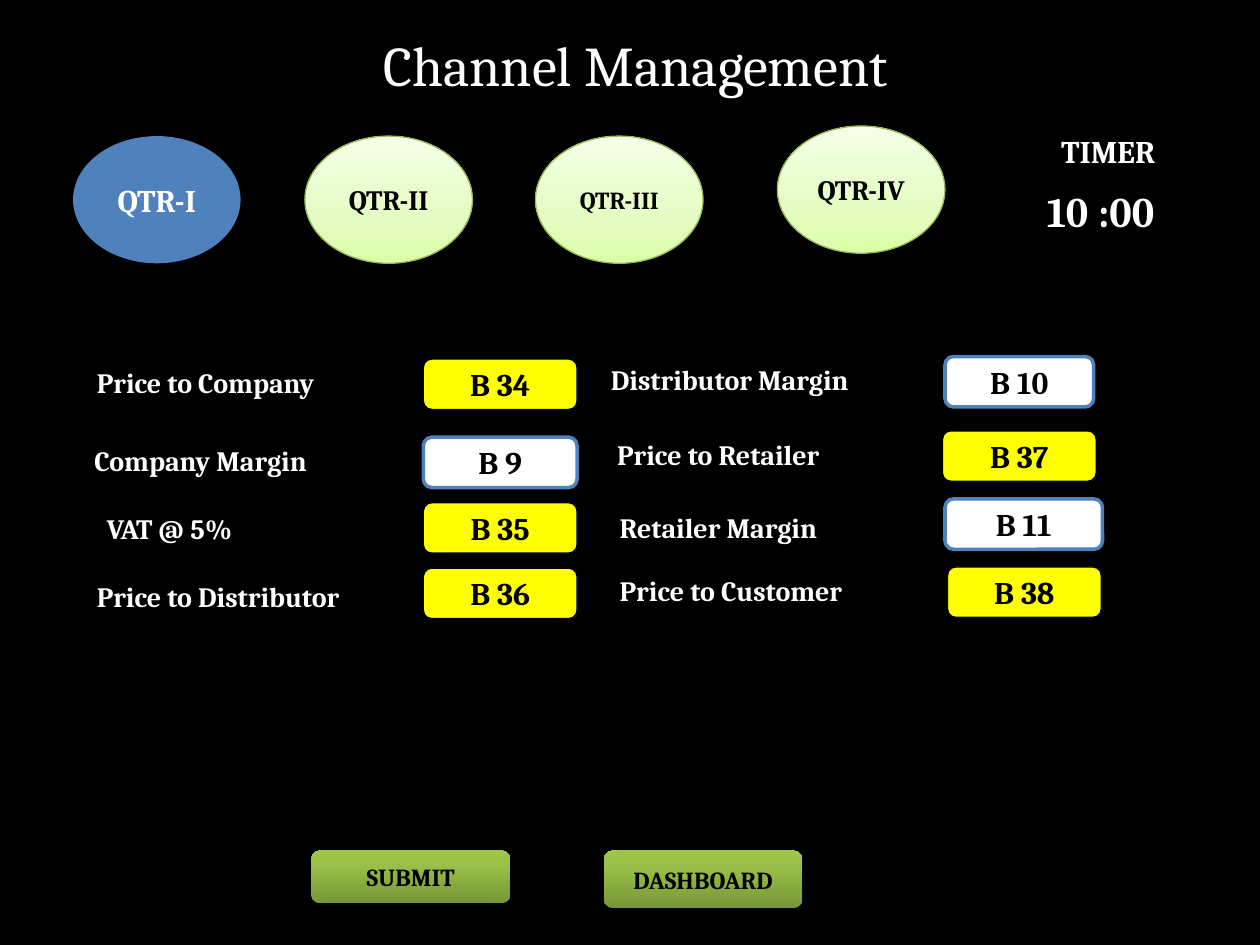
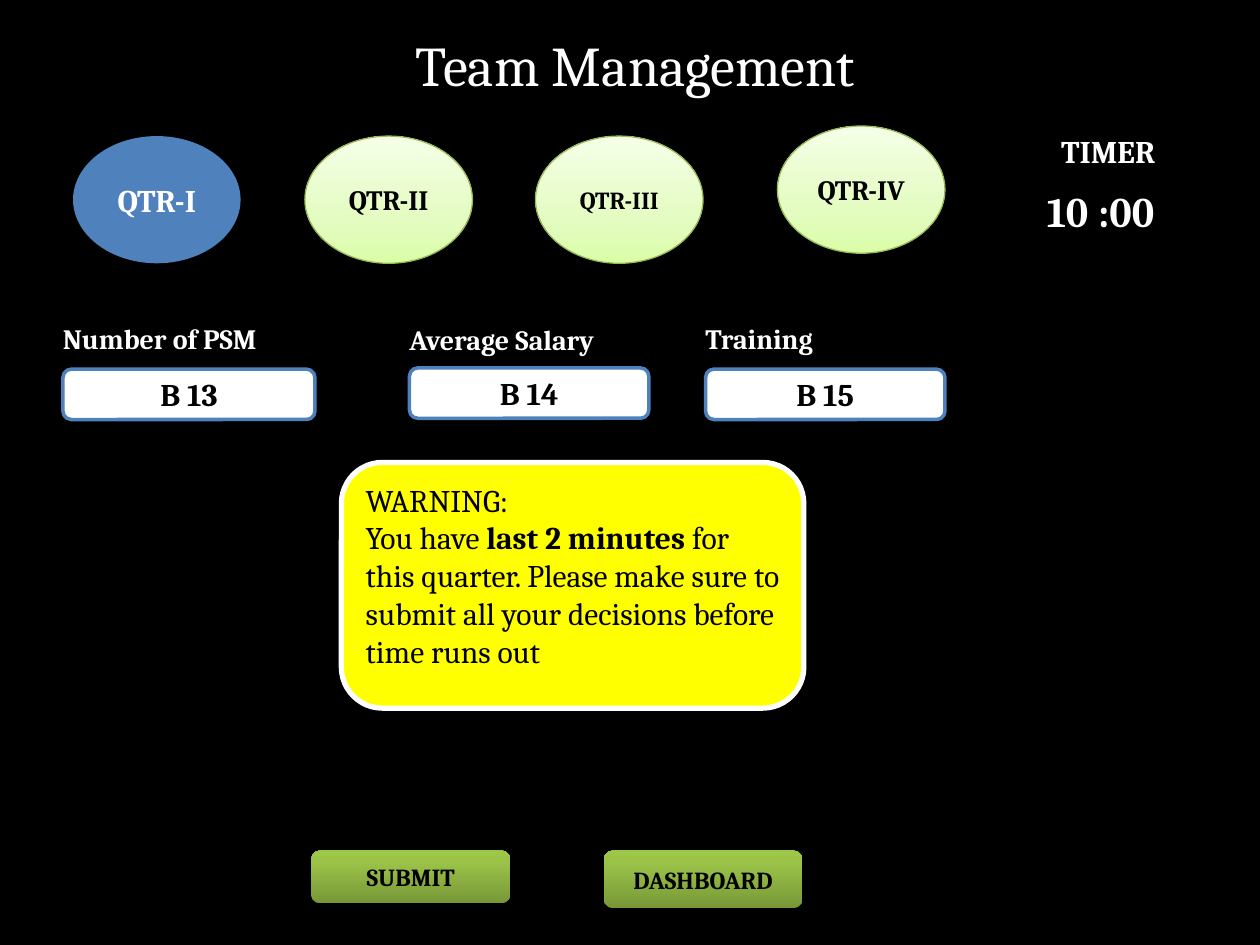
"""Build the channel and team decision screens of a quarterly business game."""
from lxml.etree import SubElement
from pptx import Presentation
from pptx.dml.color import RGBColor as Rgb
from pptx.enum.shapes import MSO_SHAPE as Shape
from pptx.enum.text import MSO_ANCHOR as Anchor, PP_ALIGN as Align
from pptx.oxml.ns import qn
from pptx.util import Inches, Pt

FONT = "Cambria"
COLORS = {
    "black": "000000",
    "white": "FFFFFF",
    "blue": "4F81BD",
    "yellow": "FFFF00",
    "leaf": "98B955",
}
GRADIENTS = {
    "pale": ((0, "DAFDA7"), (35, "E4FCC2"), (100, "F5FFE7")),
    "green": ((0, "779737"), (80, "9BC348"), (100, "9DC746")),
}
FIELD_STYLES = {
    "input": ("white", "blue", 2),
    "result": ("yellow", "black", 0.75),
}
LABEL_WIDTH = 2.68
FIELD_HEIGHT = 0.4


def color(name):
    """Return the named colour."""
    return Rgb.from_string(COLORS[name])


def place(part, left, top, width, height):
    """Move and size a part in inches."""
    part.left, part.top = Inches(left), Inches(top)
    part.width, part.height = Inches(width), Inches(height)


def add_run(paragraph, text, size, ink, bold=True):
    """Append one formatted run."""
    run = paragraph.add_run()
    run.text = text
    run.font.name = FONT
    run.font.size = Pt(size)
    run.font.bold = bold
    run.font.color.rgb = color(ink)


def fill_gradient(panel, stops):
    """Fill a panel with a gradient that rises from bottom to top."""
    panel.fill.gradient()
    panel.fill.gradient_angle = 90
    stop_list = panel.fill._fill._gradFill.find(qn("a:gsLst"))
    for old_stop in list(stop_list):
        stop_list.remove(old_stop)
    for percent, value in stops:
        stop = SubElement(stop_list, qn("a:gs"), pos=str(percent * 1000))
        SubElement(stop, qn("a:srgbClr"), val=value)


def add_panel(slide, kind, at, fill, line=None, weight=0.75):
    """Add a flat shape with a plain or gradient fill."""
    panel = slide.shapes.add_shape(kind, *map(Inches, at))
    panel.shadow.inherit = False
    if fill in GRADIENTS:
        fill_gradient(panel, GRADIENTS[fill])
    else:
        panel.fill.solid()
        panel.fill.fore_color.rgb = color(fill)
    if line:
        panel.line.color.rgb = color(line)
        panel.line.width = Pt(weight)
    else:
        panel.line.fill.background()
    return panel


def write(panel, text, size, ink="black", align=Align.CENTER, anchor=Anchor.MIDDLE):
    """Write one bold line in a panel."""
    panel.text_frame.vertical_anchor = anchor
    paragraph = panel.text_frame.paragraphs[0]
    paragraph.alignment = align
    add_run(paragraph, text, size, ink)


def add_label(slide, text, left, top, width=LABEL_WIDTH):
    """Add the white caption of a field."""
    label = slide.shapes.add_textbox(*map(Inches, (left, top, width, 0.37)))
    label.text_frame.word_wrap = True
    add_run(label.text_frame.paragraphs[0], text, 16, "white")


def add_field(slide, style, text, left, top, width):
    """Add a rounded input or result field."""
    at = (left, top, width, FIELD_HEIGHT)
    write(add_panel(slide, Shape.ROUNDED_RECTANGLE, at, *FIELD_STYLES[style]), text, 18)


def add_title(slide, text):
    """Set the centred screen title."""
    title = slide.shapes.title
    place(title, 1.17, 0.19, 7.75, 0.64)
    title.text_frame.vertical_anchor = Anchor.TOP
    paragraph = title.text_frame.paragraphs[0]
    paragraph.alignment = Align.CENTER
    add_run(paragraph, text, 32, "white", bold=False)


def add_timer(slide):
    """Add the timer caption and the time left."""
    for text, at, size, align in (
        ("TIMER", (8.17, 1, 1.25, 0.4), 18, Align.CENTER),
        ("10 :00", (8.21, 1.42, 1.16, 0.5), 24, Align.LEFT),
    ):
        readout = add_panel(slide, Shape.RECTANGLE, at, "black", "black", 2)
        write(readout, text, size, "white", align, Anchor.TOP)


def add_quarters(slide):
    """Add the four quarter markers, the first one active."""
    for text, left, top, size in (
        ("QTR-I", 0.58, 1.08, 18),
        ("QTR-II", 2.42, 1.08, 16),
        ("QTR-III", 4.25, 1.08, 14),
        ("QTR-IV", 6.17, 1, 16),
    ):
        active = text == "QTR-I"
        fill, line, ink = ("blue", None, "white") if active else ("pale", "leaf", "black")
        marker = add_panel(slide, Shape.OVAL, (left, top, 1.33, 1.01), fill, line)
        write(marker, text, size, ink)


def add_buttons(slide):
    """Add the two action buttons."""
    for text, left, height in (("SUBMIT", 2.47, 0.42), ("DASHBOARD", 4.79, 0.46)):
        at = (left, 6.75, 1.58, height)
        write(add_panel(slide, Shape.ROUNDED_RECTANGLE, at, "green"), text, 14)


def add_screen(deck, title):
    """Add a slide with the parts that all screens share."""
    slide = deck.slides.add_slide(deck.slide_layouts[5])
    add_title(slide, title)
    add_timer(slide)
    add_quarters(slide)
    add_buttons(slide)
    return slide


def add_warning(slide):
    """Add the time warning."""
    warning = add_panel(
        slide, Shape.ROUNDED_RECTANGLE, (2.71, 3.67, 3.67, 1.95), "yellow", "white", 3
    )
    frame = warning.text_frame
    frame.vertical_anchor = Anchor.TOP
    heading, message = frame.paragraphs[0], frame.add_paragraph()
    heading.alignment = message.alignment = Align.LEFT
    add_run(heading, "WARNING:", 18, "black", bold=False)
    for text, bold in (
        ("You have ", False),
        ("last 2 minutes", True),
        (" for this quarter. Please make sure to submit all your decisions"
         " before time runs out", False),
    ):
        add_run(message, text, 18, "black", bold)


def add_channel_screen(deck):
    """Build the price chain screen."""
    slide = add_screen(deck, "Channel Management")
    for label, label_at, style, cell, field_at in (
        ("Price to Company", (0.67, 2.85), "result", "B 34", (3.36, 2.85, 1.22)),
        ("Company Margin", (0.65, 3.47), "input", "B 9", (3.36, 3.47, 1.22)),
        ("VAT @ 5%", (0.75, 4.01, 2), "result", "B 35", (3.36, 3.99, 1.22)),
        ("Price to Distributor", (0.67, 4.55, 3), "result", "B 36", (3.36, 4.51, 1.22)),
        ("Distributor Margin", (4.75, 2.83), "input", "B 10", (7.5, 2.83, 1.18)),
        ("Price to Retailer", (4.8, 3.42), "result", "B 37", (7.48, 3.42, 1.22)),
        ("Retailer Margin", (4.82, 4), "input", "B 11", (7.5, 3.96, 1.25)),
        ("Price to Customer", (4.82, 4.5), "result", "B 38", (7.52, 4.5, 1.22)),
    ):
        add_label(slide, label, *label_at)
        add_field(slide, style, cell, *field_at)


def add_team_screen(deck):
    """Build the sales team screen."""
    slide = add_screen(deck, "Team Management")
    for label, label_at, cell, field_at in (
        ("Number of PSM", (0.4, 2.5), "B 13", (0.5, 2.93, 2)),
        ("Average Salary", (3.15, 2.51, 3.43), "B 14", (3.25, 2.92, 1.9)),
        ("Training", (5.5, 2.5), "B 15", (5.6, 2.93, 1.9)),
    ):
        add_label(slide, label, *label_at)
        add_field(slide, "input", cell, *field_at)
    add_warning(slide)


def main():
    """Build and save the deck."""
    deck = Presentation()
    deck.slide_width, deck.slide_height = Inches(10), Inches(7.5)
    backdrop = deck.slide_master.background.fill
    backdrop.solid()
    backdrop.fore_color.rgb = color("black")
    add_channel_screen(deck)
    add_team_screen(deck)
    deck.save("out.pptx")


if __name__ == "__main__":
    main()
